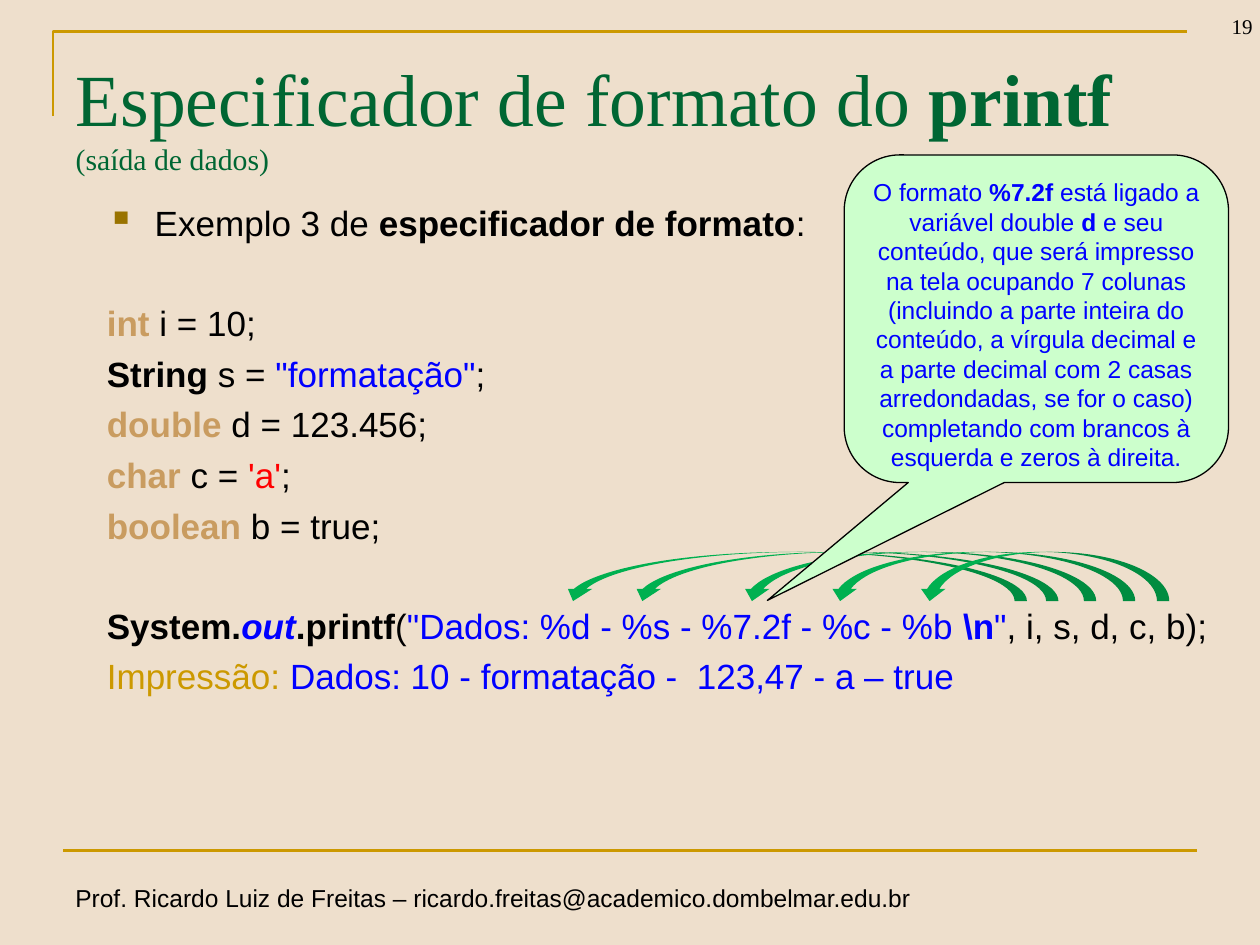
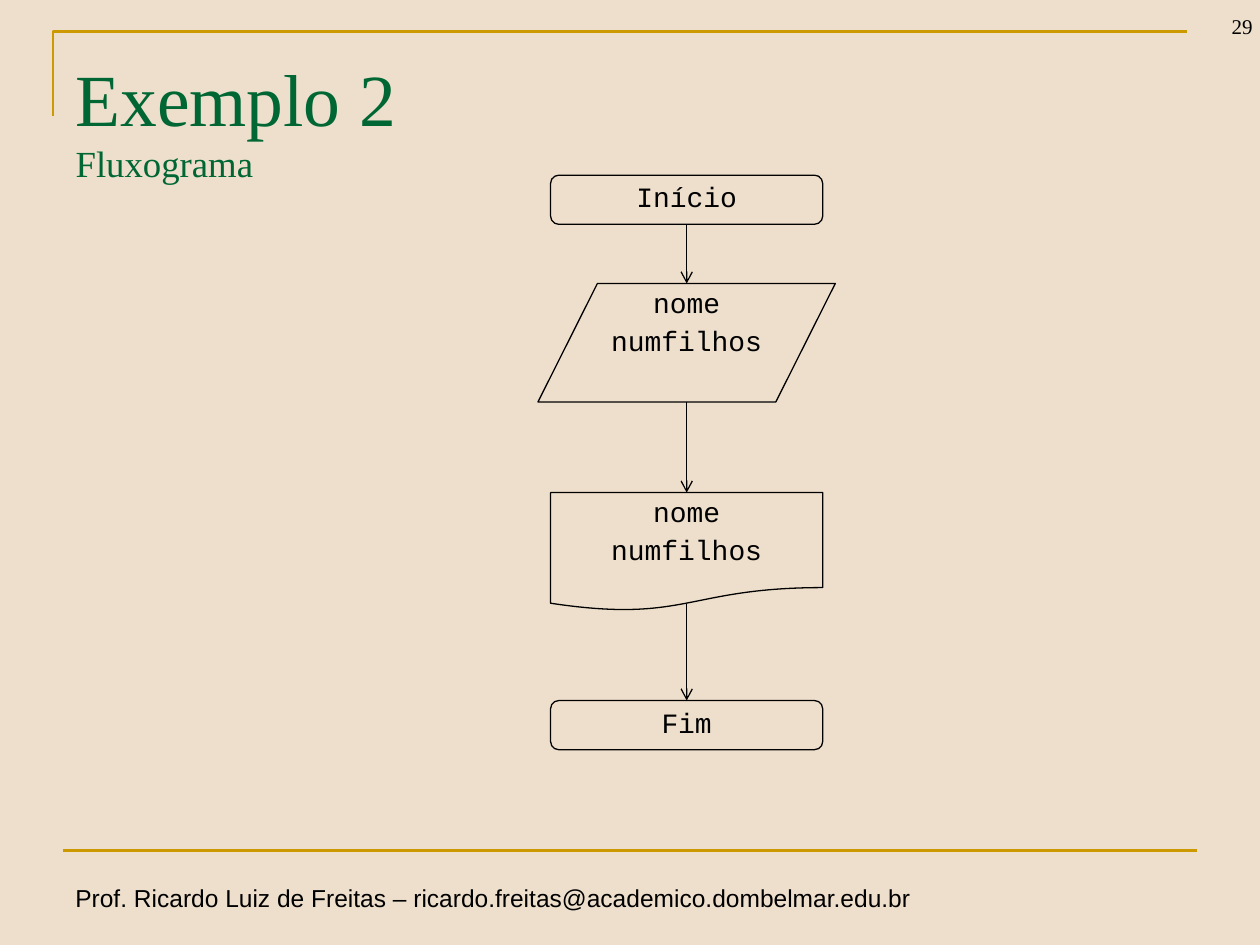
from lxml import etree
from pptx import Presentation
from pptx.dml.color import RGBColor
from pptx.enum.shapes import MSO_CONNECTOR, MSO_SHAPE as SHAPE
from pptx.enum.text import MSO_ANCHOR as ANCHOR, MSO_AUTO_SIZE as AUTO, PP_ALIGN as ALIGN
from pptx.oxml.ns import qn
from pptx.util import Inches, Pt

# Shared look
SAND, GOLD, GREEN, BLACK = "EEDFCC", "CC9900", "006633", "000000"
TAN, BLUE, RED, BULLET = "C99C60", "0000FF", "FF0000", "997300"
ARROW, MINT = "00B050", "CCFFCC"
SERIF, SANS, MONO = "Times New Roman", "Arial", "Courier New"
FOOTER = "Prof. Ricardo Luiz de Freitas – ricardo.freitas@academico.dombelmar.edu.br"

# Run formats
BOLD = dict(bold=True)
KEYWORD = dict(bold=True, color=TAN)
STRING = dict(color=BLUE)
CHAR = dict(color=RED)

# Slide 19: a paragraph is a list of runs, plain or (text, format)
PRINTF_TITLE = [["Especificador de formato do ", ("printf", BOLD)],
                [("(saída de dados)", dict(size=17))]]
CODE = [
    ["Exemplo 3 de ", ("especificador de formato", BOLD), ":"],
    [("int", KEYWORD), " i = 10;"],
    [("String", BOLD), " s = ", ('"formatação"', STRING), ";"],
    [("double", KEYWORD), " d = 123.456;"],
    [("char", KEYWORD), " c = ", ("'a'", CHAR), ";"],
    [("boolean", KEYWORD), " b = true;"],
    [("System.", BOLD), ("out", dict(bold=True, italic=True, color=BLUE)),
     (".printf", BOLD), "(", ('"Dados: %d - %s - %7.2f - %c - %b ', STRING),
     ("\\n", dict(bold=True, color=BLUE)), ('"', STRING), ", i, s, d, c, b);"],
    [("Impressão: ", dict(color=GOLD)),
     ("Dados: 10 - formatação -  123,47 - a – true", STRING)],
]
BLOCK_STARTS = (1, 6)  # paragraphs that follow a one-line gap
SPECIFIER_ARROWS = [(4.45, 8.15), (5, 8.4), (5.87, 8.7), (6.57, 9.01), (7.28, 9.28)]
CALLOUT = [["O formato ", ("%7.2f ", BOLD), "está ligado a variável double ", ("d", BOLD),
            " e seu conteúdo, que será impresso na tela ocupando 7 colunas (incluindo a "
            "parte inteira do conteúdo, a vírgula decimal e a parte decimal com 2 casas "
            "arredondadas, se for o caso) completando com brancos à esquerda e zeros à "
            "direita."]]

# Slide 29: shape, top, width, height, depth where the arrow leaves, lines
FLOW_TITLE = [["Exemplo 2"], [("Fluxograma", dict(size=21))]]
FLOW_CENTRE = 5.45
FLOW = [
    (SHAPE.FLOWCHART_ALTERNATE_PROCESS, 1.39, 2.16, 0.39, 0.39, ["Início"]),
    (SHAPE.FLOWCHART_DATA, 2.25, 2.36, 0.94, 0.94, ["nome", "numfilhos"]),
    (SHAPE.FLOWCHART_DOCUMENT, 3.91, 2.16, 0.94, 0.88, ["nome", "numfilhos"]),
    (SHAPE.FLOWCHART_ALTERNATE_PROCESS, 5.56, 2.16, 0.39, 0.39, ["Fim"]),
]


def rgb(color):
    return RGBColor.from_string(color)


def box(left, top, width, height):
    return [Inches(v) for v in (left, top, width, height)]


def write(tf, paras, size=14, font=SANS, color=BLACK, align=ALIGN.LEFT,
          anchor=ANCHOR.TOP, before=0, spacing=None):
    """Fill a text frame; space before applies from the second paragraph on."""
    tf.word_wrap, tf.auto_size, tf.vertical_anchor = True, AUTO.NONE, anchor
    for i, runs in enumerate(paras):
        p = tf.add_paragraph() if i else tf.paragraphs[0]
        p.alignment = align
        p.space_before = Pt(before if i else 0)
        if spacing:
            p.line_spacing = spacing
        for run in runs:
            text, fmt = (run, {}) if isinstance(run, str) else run
            r = p.add_run()
            r.text = text
            f = r.font
            f.name, f.size = font, Pt(fmt.get("size", size))
            f.bold, f.italic = fmt.get("bold", False), fmt.get("italic", False)
            f.color.rgb = rgb(fmt.get("color", color))


def add_text(s, at, paras, **fmt):
    tf = s.shapes.add_textbox(*box(*at)).text_frame
    write(tf, paras, **fmt)
    return tf


def style(sp, fill=None, line=None, width=0.75):
    sp.shadow.inherit = False
    if fill:
        sp.fill.solid()
        sp.fill.fore_color.rgb = rgb(fill)
    else:
        sp.fill.background()
    if line:
        sp.line.color.rgb, sp.line.width = rgb(line), Pt(width)
    else:
        sp.line.fill.background()
    return sp


def add_shape(s, kind, at, **look):
    return style(s.shapes.add_shape(kind, *box(*at)), **look)


def add_line(s, x1, y1, x2, y2, color, width, arrow=False):
    c = s.shapes.add_connector(MSO_CONNECTOR.STRAIGHT, *box(x1, y1, x2, y2))
    c.line.color.rgb, c.line.width = rgb(color), Pt(width)
    if arrow:
        etree.SubElement(c.line._get_or_add_ln(), qn("a:tailEnd"), type="arrow")
    etree.SubElement(c._element.spPr, qn("a:effectLst"))
    return c


def add_bullet(p, char, color, indent):
    pPr = p._p.get_or_add_pPr()
    pPr.set("marL", str(Inches(indent)))
    pPr.set("indent", str(-Inches(indent)))
    clr = etree.SubElement(pPr, qn("a:buClr"))
    etree.SubElement(clr, qn("a:srgbClr"), val=color)
    etree.SubElement(pPr, qn("a:buSzPct"), val="110000")
    etree.SubElement(pPr, qn("a:buChar"), char=char)


def new_slide(prs, title, number):
    """Slide with the gold frame, footer, title and number."""
    s = prs.slides.add_slide(prs.slide_layouts[5])
    corner = s.shapes.build_freeform(Inches(0.42), Inches(0.92))
    corner.add_line_segments([(Inches(0.42), Inches(0.25)),
                              (Inches(9.42), Inches(0.25))], close=False)
    style(corner.convert_to_shape(), line=GOLD, width=1.5)
    add_line(s, 0.5, 6.75, 9.5, 6.75, GOLD, 1.5)
    add_text(s, (0.5, 6.96, 6.86, 0.34), [[FOOTER]])
    t = s.shapes.title
    t.left, t.top, t.width, t.height = box(0.5, 0.3, 9, 1.25)
    t.text_frame.margin_top = Inches(0.12)
    write(t.text_frame, title, size=42, font=SERIF, color=GREEN)
    add_text(s, (9.29, -0.14, 0.75, 0.5), [[number]], size=12, font=SERIF,
             align=ALIGN.RIGHT, anchor=ANCHOR.BOTTOM)
    return s


def build_printf(prs):
    s = new_slide(prs, PRINTF_TITLE, "19")
    # Code listing
    tf = add_text(s, (0.75, 1.55, 9, 4.95), CODE, size=20, before=5)
    add_bullet(tf.paragraphs[0], "▪", BULLET, 0.38)
    for i in BLOCK_STARTS:
        tf.paragraphs[i].space_before = Pt(33)
    # Arrows from each variable to its specifier
    for left, right in SPECIFIER_ARROWS:
        sp = add_shape(s, SHAPE.CURVED_DOWN_ARROW, (left, 4.38, right - left, 0.39),
                       fill=ARROW)
        sp.rotation = 180
        sp._element.spPr.find(qn("a:xfrm")).set("flipV", "1")
    # Callout
    sp = add_shape(s, SHAPE.ROUNDED_RECTANGULAR_CALLOUT, (6.7, 1.23, 3.05, 2.6),
                   fill=MINT, line=BLACK)
    for i, value in enumerate((-0.7, 0.86, 0.17)):
        sp.adjustments[i] = value
    write(sp.text_frame, CALLOUT, color=BLUE, align=ALIGN.CENTER)


def build_flowchart(prs):
    s = new_slide(prs, FLOW_TITLE, "29")
    # Steps
    steps = []
    for kind, top, width, height, depth, lines in FLOW:
        sp = add_shape(s, kind, (FLOW_CENTRE - width / 2, top, width, height), line=BLACK)
        write(sp.text_frame, [[line] for line in lines], size=16, font=MONO,
              align=ALIGN.CENTER, before=4, spacing=0.9)
        steps.append((sp, kind, top, top + depth))
    # Arrows; the slanted data box has no joint numbered for its side middles
    for (a, kind_a, _, leave), (b, kind_b, enter, _) in zip(steps, steps[1:]):
        c = add_line(s, FLOW_CENTRE, leave, FLOW_CENTRE, enter, BLACK, 0.75, arrow=True)
        if kind_a != SHAPE.FLOWCHART_DATA:
            c.begin_connect(a, 2)
            c.begin_y = Inches(leave)
        if kind_b != SHAPE.FLOWCHART_DATA:
            c.end_connect(b, 0)


def main():
    prs = Presentation()
    prs.slide_width, prs.slide_height = Inches(10), Inches(7.5)
    fill = prs.slide_master.background.fill
    fill.solid()
    fill.fore_color.rgb = rgb(SAND)
    build_printf(prs)
    build_flowchart(prs)
    prs.save("out.pptx")


if __name__ == "__main__":
    main()
